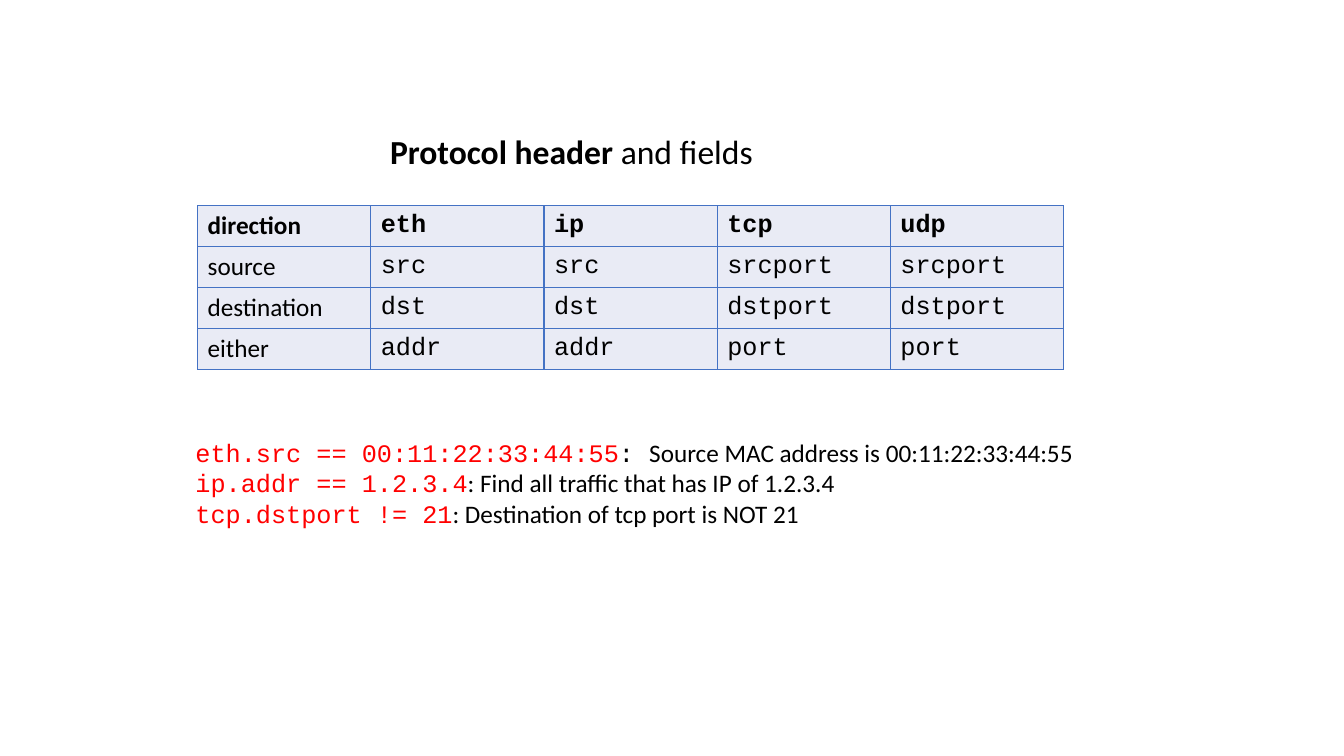
from lxml import etree
from pptx import Presentation
from pptx.dml.color import RGBColor
from pptx.enum.text import MSO_ANCHOR as Anchor
from pptx.oxml.ns import qn
from pptx.util import Inches, Pt

BLACK = RGBColor(0x00, 0x00, 0x00)
RED = RGBColor(0xFF, 0x00, 0x00)
BLUE = RGBColor(0x44, 0x72, 0xC4)
PALE = RGBColor(0xE9, 0xEB, 0xF5)
SANS, MONO = "Calibri", "Courier New"

FIELDS = [
    ["direction", "eth", "ip", "tcp", "udp"],
    ["source", "src", "src", "srcport", "srcport"],
    ["destination", "dst", "dst", "dstport", "dstport"],
    ["either", "addr", "addr", "port", "port"],
]
# Filter, separator, separator font, meaning
FILTERS = [
    ("eth.src == 00:11:22:33:44:55", ": ", MONO, "Source MAC address is 00:11:22:33:44:55"),
    ("ip.addr == 1.2.3.4", ": ", SANS, "Find all traffic that has IP of 1.2.3.4"),
    ("tcp.dstport != 21", ": ", SANS, "Destination of tcp port is NOT 21"),
]


def style(font, size, name=SANS, color=BLACK, bold=False):
    font.size, font.name, font.bold = Pt(size), name, bold
    font.color.rgb = color


def add_run(p, text, size, **look):
    r = p.add_run()
    r.text = text
    style(r.font, size, **look)


def add_text_frame(s, x, y, w, h, wrap):
    tf = s.shapes.add_textbox(Inches(x), Inches(y), Inches(w), Inches(h)).text_frame
    tf.word_wrap = wrap
    return tf


def add_borders(cell):
    tc_pr = cell._tc.get_or_add_tcPr()
    for side in ("a:lnL", "a:lnR", "a:lnT", "a:lnB"):
        ln = etree.SubElement(tc_pr, qn(side), w=str(Pt(1)))
        fill = etree.SubElement(ln, qn("a:solidFill"))
        etree.SubElement(fill, qn("a:srgbClr"), val=str(BLUE))


def add_heading(s, x, y, w, h):
    p = add_text_frame(s, x, y, w, h, False).paragraphs[0]
    add_run(p, "Protocol header", 24, bold=True)
    add_run(p, " and fields", 24)


def add_field_table(s, x, y, w, h):
    rows, cols = len(FIELDS), len(FIELDS[0])
    table = s.shapes.add_table(rows, cols, Inches(x), Inches(y), Inches(w), Inches(h)).table
    table.first_row = table.horz_banding = False
    for i, row in enumerate(FIELDS):
        for j, text in enumerate(row):
            cell = table.cell(i, j)
            add_borders(cell)
            cell.fill.solid()
            cell.fill.fore_color.rgb = PALE
            cell.vertical_anchor = Anchor.MIDDLE
            p = cell.text_frame.paragraphs[0]
            add_run(p, text, 18, name=MONO if j else SANS, bold=i == 0)


def add_filter_examples(s, x, y, w, h):
    tf = add_text_frame(s, x, y, w, h, True)
    for i, (code, separator, separator_font, meaning) in enumerate(FILTERS):
        p = tf.add_paragraph() if i else tf.paragraphs[0]
        add_run(p, code, 18, name=MONO, color=RED)
        add_run(p, separator, 18, name=separator_font)
        add_run(p, meaning, 18)


def main():
    prs = Presentation()
    prs.slide_width, prs.slide_height = Inches(13.33), Inches(7.5)
    s = prs.slides.add_slide(prs.slide_layouts[6])
    add_field_table(s, 1.96, 2.04, 8.59, 1.6)
    add_heading(s, 3.77, 1.25, 3.84, 0.5)
    add_filter_examples(s, 1.84, 4.29, 9.5, 1.01)
    prs.save("out.pptx")


if __name__ == "__main__":
    main()
